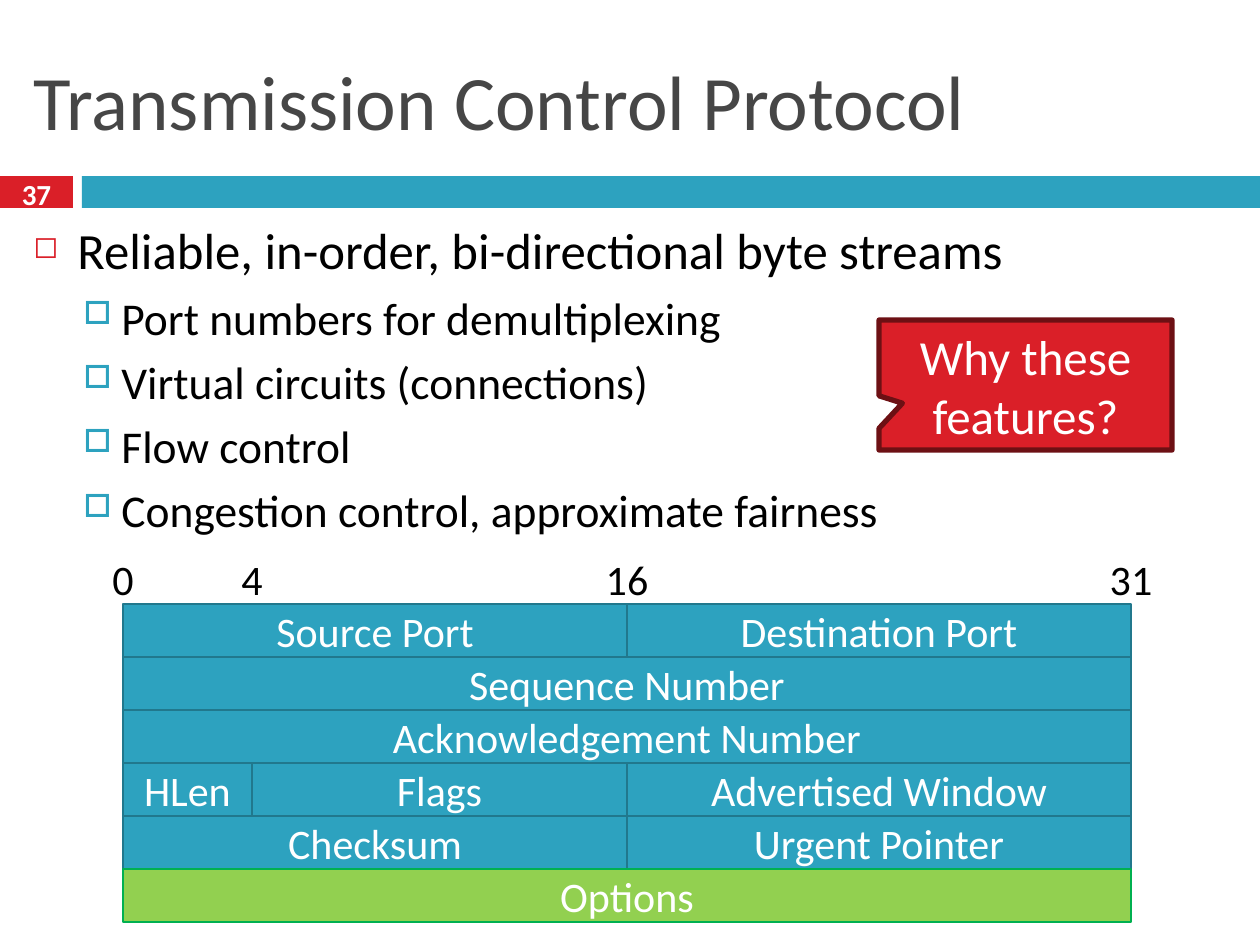
from lxml import etree
from pptx import Presentation
from pptx.dml.color import RGBColor
from pptx.enum.shapes import MSO_SHAPE
from pptx.enum.text import MSO_ANCHOR, PP_ALIGN
from pptx.oxml.ns import qn
from pptx.util import Emu, Pt

RECT = MSO_SHAPE.RECTANGLE
CALLOUT = MSO_SHAPE.RECTANGULAR_CALLOUT
MIDDLE = MSO_ANCHOR.MIDDLE
CENTER, LEFT = PP_ALIGN.CENTER, PP_ALIGN.LEFT

PX = 914400 / 126  # EMU in one px
THEME = {
    "font": "Calibri",
    "title": "464646", "text": "000000", "white": "FFFFFF",
    "red": "DA1F28", "dark_red": "6D1014",
    "blue": "2DA2BF", "dark_blue": "21788D",
    "green": "92D050", "dark_green": "00B050",
    "title_size": 44, "number_size": 16.6, "lead_size": 29,
    "point_size": 26, "callout_size": 28, "field_size": 24,
}


def write(box, text, size, color, align=CENTER, bold=False):
    """Put one vertically centred paragraph in a box."""
    frame = box.text_frame
    frame.word_wrap = True
    frame.vertical_anchor = MIDDLE
    para = frame.paragraphs[0]
    para.text = text
    para.alignment = align
    para.font.name = THEME["font"]
    para.font.size = Pt(THEME[size])
    para.font.color.rgb = RGBColor.from_string(THEME[color])
    para.font.bold = bold


def add_box(kind, left, top, width, height, fill=None, line=None, weight=1.5):
    """Add a shape measured in px; without a fill it is a text box."""
    place = [Emu(round(v * PX)) for v in (left, top, width, height)]
    if fill is None:
        return page.shapes.add_textbox(*place)
    box = page.shapes.add_shape(kind, *place)
    box.shadow.inherit = False
    box.fill.solid()
    box.fill.fore_color.rgb = RGBColor.from_string(THEME[fill])
    if line is None:
        box.line.fill.background()
    else:
        box.line.color.rgb = RGBColor.from_string(THEME[line])
        box.line.width = Pt(weight)
    return box


deck = Presentation()
deck.slide_width, deck.slide_height = Emu(round(1260 * PX)), Emu(round(945 * PX))
page = deck.slides.add_slide(deck.slide_layouts[5])

# Title
title = page.shapes.title
title.left, title.top, title.width, title.height = [
    Emu(round(v * PX)) for v in (21, 32, 1218, 136)]
write(title, "Transmission Control Protocol", "title_size", "title", LEFT)

# Band with the slide number
add_box(RECT, 0, 176, 73, 32, "red")
add_box(RECT, 82, 176, 1178, 32, "blue")
number = add_box(RECT, 0, 173, 73, 42)
write(number, "37", "number_size", "white", bold=True)

# Bulleted text: text, size, bullet, bullet colour, bullet %, margin, hang, space
lead_style = ("lead_size", "◻", "red", 60, 44, 44, 0)
point_style = ("point_size", "□", "blue", 70, 88, 38, 5.5)
lines = [
    ("Reliable, in-order, bi-directional byte streams", lead_style),
    ("Port numbers for demultiplexing", point_style),
    ("Virtual circuits (connections)", point_style),
    ("Flow control", point_style),
    ("Congestion control, approximate fairness", point_style),
]
body = add_box(RECT, 21, 213, 1218, 344).text_frame
body.word_wrap = True
for index, (text, style) in enumerate(lines):
    size, bullet, color, percent, margin, hang, space = style
    para = body.paragraphs[0] if index == 0 else body.add_paragraph()
    para.text = text
    para.space_before = Pt(space)
    props = para._p.get_or_add_pPr()
    props.set("marL", str(round(margin * PX)))
    props.set("indent", str(round(-hang * PX)))
    bullet_color = etree.SubElement(props, qn("a:buClr"))
    etree.SubElement(bullet_color, qn("a:srgbClr")).set("val", THEME[color])
    etree.SubElement(props, qn("a:buSzPct")).set("val", str(percent * 1000))
    etree.SubElement(props, qn("a:buChar")).set("char", bullet)
    para.font.name = THEME["font"]
    para.font.size = Pt(THEME[size])
    para.font.color.rgb = RGBColor.from_string(THEME["text"])

# Callout
callout = add_box(CALLOUT, 879, 320, 293, 130, "red", "dark_red", 3)
callout.adjustments[0], callout.adjustments[1] = -0.42, 0.14
write(callout, "Why these features?", "callout_size", "white")

# Header fields: row, first bit, end bit, name
bit_x = {0: 123, 4: 252, 16: 627, 31: 1131}
fields = [
    (0, 0, 16, "Source Port"), (0, 16, 31, "Destination Port"),
    (1, 0, 31, "Sequence Number"),
    (2, 0, 31, "Acknowledgement Number"),
    (3, 0, 4, "HLen"), (3, 4, 16, "Flags"), (3, 16, 31, "Advertised Window"),
    (4, 0, 16, "Checksum"), (4, 16, 31, "Urgent Pointer"),
    (5, 0, 31, "Options"),
]
table_top, row_height = 604, 53
for row, start, end, name in fields:
    fill, line = ("green", "dark_green") if name == "Options" else ("blue", "dark_blue")
    field = add_box(RECT, bit_x[start], table_top + row * row_height,
                    bit_x[end] - bit_x[start], row_height, fill, line)
    write(field, name, "field_size", "white")

# Bit positions above the field edges
for bit, x in bit_x.items():
    label = add_box(RECT, x - 41, 537, 82, 83)
    write(label, str(bit), "field_size", "text")

deck.save("out.pptx")
